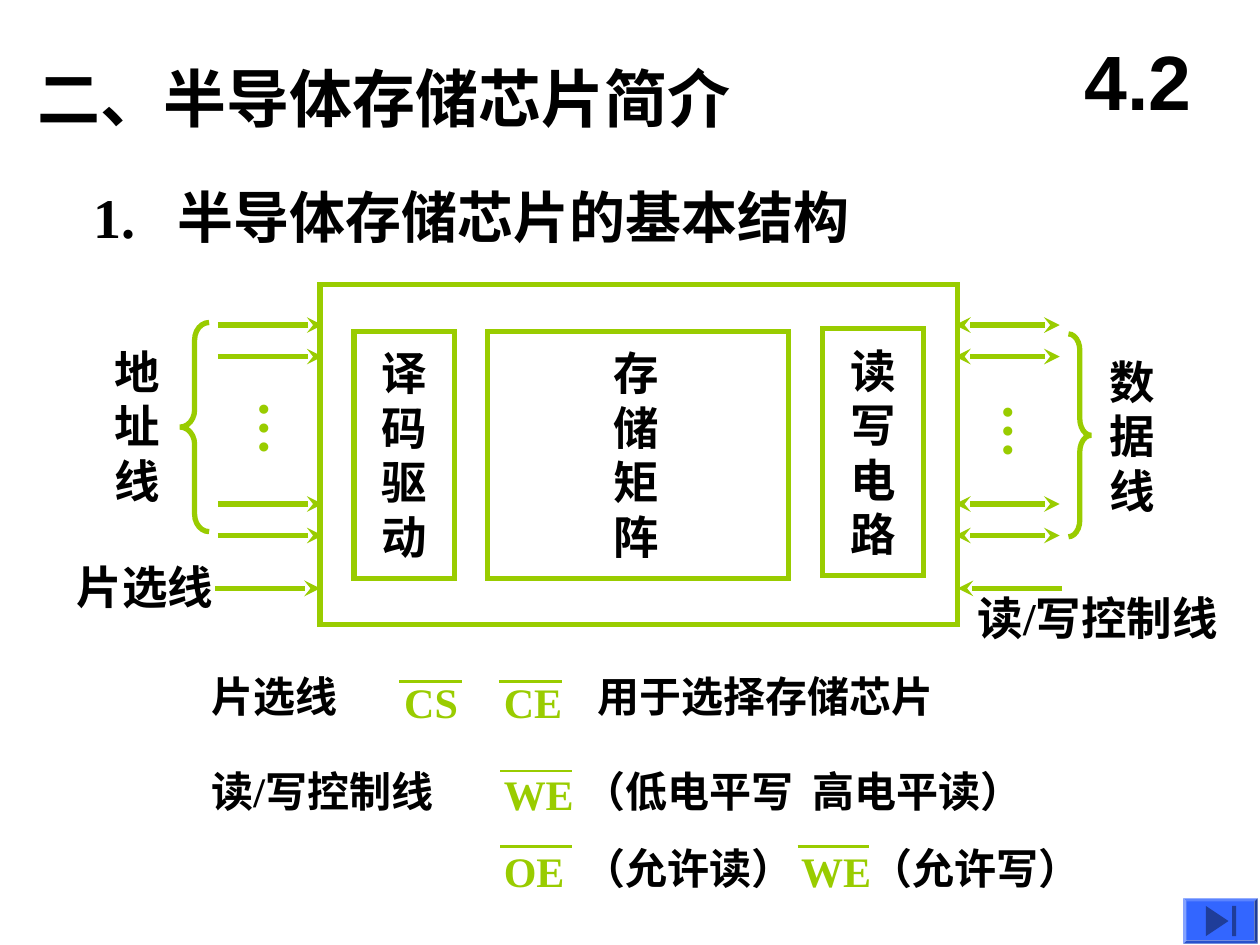
from lxml.etree import SubElement
from pptx import Presentation
from pptx.dml.color import RGBColor
from pptx.enum.shapes import MSO_CONNECTOR as Connector, MSO_SHAPE as Shape
from pptx.enum.text import MSO_ANCHOR as Anchor, PP_ALIGN as Align
from pptx.oxml.ns import qn
from pptx.util import Inches, Pt

COLORS = {"text": "000000", "green": "99CC00", "button": "3366FF", "icon": "1F3D99"}


def rgb(name):
    return RGBColor.from_string(COLORS[name])


class SlideBuilder:
    font = "Times New Roman"
    line_width = 3

    def __init__(self, slide):
        self.slide = slide

    def text(self, text, left, top, width, height, size, color="text", font=None,
             tab=None, align=None, anchor=Anchor.TOP):
        """Add a text box; tab is the distance of a tab stop from the text edge."""
        box = self.slide.shapes.add_textbox(
            Inches(left), Inches(top), Inches(width), Inches(height))
        frame = box.text_frame
        frame.text = text
        frame.word_wrap = True
        frame.vertical_anchor = anchor
        for paragraph in frame.paragraphs:
            paragraph.alignment = align
            if tab:
                tabs = SubElement(paragraph._p.get_or_add_pPr(), qn("a:tabLst"))
                SubElement(tabs, qn("a:tab"), pos=str(Inches(tab)), algn="l")
            for run in paragraph.runs:
                run.font.name = font or self.font
                run.font.size = Pt(size)
                run.font.bold = True
                run.font.color.rgb = rgb(color)
        return box

    def column(self, characters, left, top, width):
        """Stack one character per paragraph."""
        self.text("\n".join(characters), left, top, width,
                  0.1 + 0.435 * len(characters), 26)

    def dots(self, left, top):
        frame = self.text("…", left, top, 0.73, 0.55, 32, "green").text_frame
        frame.word_wrap = False
        frame.margin_left = frame.margin_right = Inches(0.05)
        frame.margin_top = frame.margin_bottom = Inches(0.1)
        frame._txBody.bodyPr.set("vert", "eaVert")

    def outline(self, kind, left, top, width, height, adjustments=()):
        shape = self.slide.shapes.add_shape(
            kind, Inches(left), Inches(top), Inches(width), Inches(height))
        shape.shadow.inherit = False
        shape.fill.background()
        shape.line.color.rgb = rgb("green")
        shape.line.width = Pt(self.line_width)
        SubElement(shape.line._get_or_add_ln(), qn("a:miter"), lim="800000")
        for index, value in enumerate(adjustments):
            shape.adjustments[index] = value

    def solid(self, shape, color):
        shape.shadow.inherit = False
        shape.fill.solid()
        shape.fill.fore_color.rgb = rgb(color)
        shape.line.fill.background()

    def button(self, left, top, width, height):
        """Add a bevelled button with a skip-to-end icon."""
        bevel = self.slide.shapes.add_shape(
            Shape.BEVEL, Inches(left), Inches(top), Inches(width), Inches(height))
        bevel.adjustments[0] = 0.07
        self.solid(bevel, "button")
        x, upper, lower = left + 0.18, top + 0.06, top + 0.3
        builder = self.slide.shapes.build_freeform(
            Inches(x), Inches(upper), scale=1.0)
        builder.add_line_segments(
            [(Inches(x + 0.18), Inches(top + 0.18)), (Inches(x), Inches(lower))])
        builder.move_to(Inches(x + 0.21), Inches(upper))
        builder.add_line_segments(
            [(Inches(x + 0.24), Inches(upper)), (Inches(x + 0.24), Inches(lower)),
             (Inches(x + 0.21), Inches(lower))])
        self.solid(builder.convert_to_shape(), "icon")

    def line(self, start, end, y, width=line_width, arrowheads=()):
        """Add a horizontal line; arrowheads may name headEnd and tailEnd, in that order."""
        connector = self.slide.shapes.add_connector(
            Connector.STRAIGHT, Inches(start), Inches(y), Inches(end), Inches(y))
        connector.line.color.rgb = rgb("green")
        connector.line.width = Pt(width)
        for name in arrowheads:
            SubElement(connector.line._get_or_add_ln(), qn("a:" + name), type="stealth")
        SubElement(connector._element.spPr, qn("a:effectLst"))

    def signal(self, name, left, top, bar_offset, bar_width, bar_drop):
        """Add an active-low signal name with its overline."""
        self.text(name, left, top, 0.9, 0.5, 24, "green")
        start = left + bar_offset
        self.line(start, start + bar_width, top + bar_drop, 1.5)


def main():
    presentation = Presentation()
    presentation.slide_width, presentation.slide_height = Inches(10), Inches(7.5)
    builder = SlideBuilder(presentation.slides.add_slide(presentation.slide_layouts[6]))

    builder.text("二、半导体存储芯片简介", 0.2, 0.42, 6, 0.7, 36)
    builder.text("4.2", 8.41, 0.17, 1.25, 0.92, 44, font="Arial",
                 align=Align.CENTER, anchor=Anchor.MIDDLE)
    builder.text("1.\t半导体存储芯片的基本结构", 0.64, 1.4, 6.4, 0.64, 32, tab=0.67)

    # Chip and its three internal blocks
    builder.outline(Shape.RECTANGLE, 2.54, 2.26, 5.06, 2.7)
    for label, left, top, width, text_width in (
            ("译码驱动", 2.81, 2.63, 0.8, 0.56),
            ("存储矩阵", 3.87, 2.63, 2.39, 0.59),
            ("读写电路", 6.53, 2.61, 0.8, 0.56)):
        builder.outline(Shape.RECTANGLE, left, top, width, 1.96)
        builder.column(label, left + (width - text_width) / 2, top + 0.06, text_width)

    # Address lines, data lines and control lines
    for y in (2.58, 2.83, 4, 4.25):
        builder.line(1.73, 2.56, y, arrowheads=["tailEnd"])
        builder.line(8.41, 7.58, y, arrowheads=["headEnd", "tailEnd"])
    builder.line(1.71, 2.54, 4.67, arrowheads=["tailEnd"])
    builder.line(8.43, 7.6, 4.67, arrowheads=["tailEnd"])
    builder.outline(Shape.LEFT_BRACE, 1.43, 2.56, 0.23, 1.66, (0.6, 0.5))
    builder.outline(Shape.RIGHT_BRACE, 8.48, 2.65, 0.18, 1.61, (0.73, 0.5))
    builder.dots(1.83, 3.08)
    builder.dots(7.74, 3.1)
    builder.column("地址线", 0.81, 2.68, 0.56)
    builder.column("数据线", 8.71, 2.76, 0.56)
    builder.text("片选线", 0.51, 4.39, 1.5, 0.54, 26)
    builder.text("读/写控制线", 7.66, 4.63, 2.34, 0.54, 26)

    # Signal explanations
    for text, left, top, width, tab in (
            ("片选线", 1.58, 5.27, 1.5, None),
            ("用于选择存储芯片", 4.64, 5.27, 4.02, None),
            ("读/写控制线", 1.58, 6.03, 2.76, None),
            ("（低电平写\t高电平读）", 4.53, 6.03, 4.61, 1.82),
            ("（允许读）", 4.53, 6.64, 2.44, None),
            ("（允许写）", 6.81, 6.64, 2.44, None)):
        builder.text(text, left, top, width, 0.5, 24, tab=tab)
    for name, left, top, *bar in (
            ("CS", 3.11, 5.32, 0.06, 0.5, 0.09),
            ("CE", 3.9, 5.32, 0.06, 0.5, 0.09),
            ("WE", 3.9, 6.05, 0.07, 0.57, 0.07),
            ("OE", 3.9, 6.66, 0.07, 0.57, 0.06),
            ("WE", 6.26, 6.66, 0.07, 0.57, 0.06)):
        builder.signal(name, left, top, *bar)

    builder.button(9.39, 7.13, 0.59, 0.36)
    presentation.save("out.pptx")


if __name__ == "__main__":
    main()
